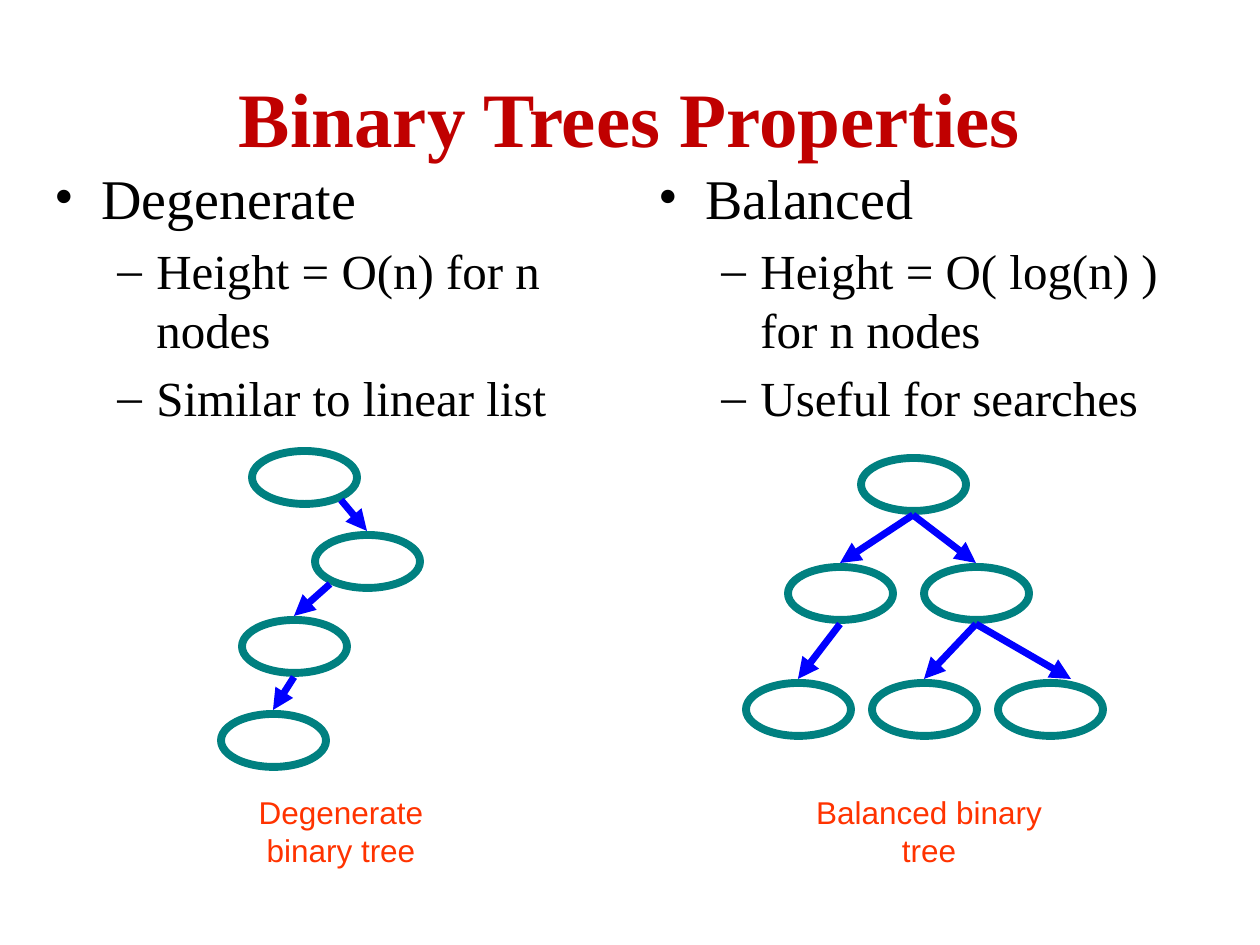
from lxml.etree import SubElement
from pptx import Presentation
from pptx.dml.color import RGBColor
from pptx.enum.shapes import MSO_CONNECTOR as Connector, MSO_SHAPE as Shape
from pptx.enum.text import MSO_ANCHOR as Anchor, PP_ALIGN as Align
from pptx.oxml.ns import qn
from pptx.util import Pt

EMU_PER_PX = 914400 / 126
RED = RGBColor(0xC0, 0x00, 0x00)
ORANGE = RGBColor(0xFF, 0x33, 0x00)
BLACK = RGBColor(0x00, 0x00, 0x00)
TEAL = RGBColor(0x00, 0x80, 0x80)
BLUE = RGBColor(0x00, 0x00, 0xFF)
SERIF, SANS = "Times New Roman", "Arial"
NODE_W, NODE_H = 105, 53
EDGE_GAP = 4
# Outline level: bullet, size in points, left margin, hanging indent
LEVELS = [("\u2022", 32, 47, 47), ("\u2013", 28, 102, 39)]
BOTTOM = (0, NODE_H + EDGE_GAP)
LOWER_LEFT, LOWER_RIGHT = (-37, 49), (37, 49)


def px(length):
    """Turn whole pixels into EMU."""
    return round(length * EMU_PER_PX)


def add_frame(slide, box):
    """Add a wrapping text box and return its text frame."""
    frame = slide.shapes.add_textbox(*map(px, box)).text_frame
    frame.word_wrap = True
    return frame


def style(paragraph, font_name, size, color, bold=False):
    """Format every run of a paragraph."""
    for run in paragraph.runs:
        font = run.font
        font.name, font.size, font.bold = font_name, Pt(size), bold
        font.color.rgb = color


def add_heading(slide, box, wording, look, anchor=Anchor.TOP):
    """Add one centred paragraph, used for the title and the captions."""
    frame = add_frame(slide, box)
    frame.vertical_anchor = anchor
    frame.text = wording
    frame.paragraphs[0].alignment = Align.CENTER
    style(frame.paragraphs[0], *look)


def add_outline(slide, box, entries):
    """Add a bulleted outline from (level, wording) entries."""
    frame = add_frame(slide, box)
    for index, (level, wording) in enumerate(entries):
        paragraph = frame.add_paragraph() if index else frame.paragraphs[0]
        bullet, size, margin, hang = LEVELS[level]
        paragraph.text, paragraph.level = wording, level
        paragraph.space_before = Pt(size * 0.2)
        style(paragraph, SERIF, size, BLACK)
        properties = paragraph._p.get_or_add_pPr()
        properties.set("marL", str(px(margin)))
        properties.set("indent", str(-px(hang)))
        SubElement(properties, qn("a:buFont"), typeface=SERIF)
        SubElement(properties, qn("a:buChar"), char=bullet)


def add_node(slide, left, top):
    """Add one hollow tree node."""
    node = slide.shapes.add_shape(Shape.OVAL, *map(px, (left, top, NODE_W, NODE_H)))
    node.shadow.inherit = False
    node.fill.background()
    node.line.color.rgb, node.line.width = TEAL, Pt(4.5)


def add_edge(slide, start, end):
    """Add an arrow from a parent to a child."""
    edge = slide.shapes.add_connector(Connector.STRAIGHT, *map(px, start + end))
    edge.line.color.rgb, edge.line.width = BLUE, Pt(4)
    SubElement(edge.line._get_or_add_ln(), qn("a:tailEnd"), type="triangle")
    SubElement(edge._element.spPr, qn("a:effectLst"))


def add_tree(slide, origin, nodes, edges):
    """Draw nodes at offsets from origin, and (parent, child, exit, shift) edges."""
    x, y = origin
    corners = [(x + dx, y + dy) for dx, dy in nodes]
    for corner in corners:
        add_node(slide, *corner)
    for parent, child, (exit_x, exit_y), shift in edges:
        (from_x, from_y), (to_x, to_y) = corners[parent], corners[child]
        middle = NODE_W // 2
        add_edge(slide, (from_x + middle + exit_x, from_y + exit_y),
                 (to_x + middle + shift, to_y - EDGE_GAP))


def build_slide(slide):
    """Place the title and the two tree columns."""
    caption_look = (SANS, 18, ORANGE)
    add_heading(slide, (63, 38, 1134, 157), "Binary Trees Properties",
                (SERIF, 44, RED, True), Anchor.MIDDLE)

    add_outline(slide, (42, 157, 577, 735),
                [(0, "Degenerate"), (1, "Height = O(n) for n nodes"),
                 (1, "Similar to linear list")])
    add_tree(slide, (221, 451), [(31, 0), (94, 84), (21, 169), (0, 263)],
             [(0, 1, LOWER_RIGHT, 0), (1, 2, LOWER_LEFT, 0), (2, 3, BOTTOM, 0)])
    add_heading(slide, (210, 787, 262, 113), "Degenerate binary tree", caption_look)

    add_outline(slide, (646, 157, 551, 735),
                [(0, "Balanced"), (1, "Height = O( log(n) ) for n nodes"),
                 (1, "Useful for searches")])
    add_tree(slide, (746, 458),
             [(115, 0), (42, 109), (178, 109), (0, 225), (126, 225), (252, 225)],
             [(0, 1, BOTTOM, 0), (0, 2, BOTTOM, 0), (1, 3, BOTTOM, 0),
              (2, 4, BOTTOM, 0), (2, 5, BOTTOM, 21)])
    add_heading(slide, (798, 787, 262, 113), "Balanced binary tree", caption_look)


presentation = Presentation()
presentation.slide_width, presentation.slide_height = px(1260), px(945)
build_slide(presentation.slides.add_slide(presentation.slide_layouts[6]))
presentation.save("out.pptx")
